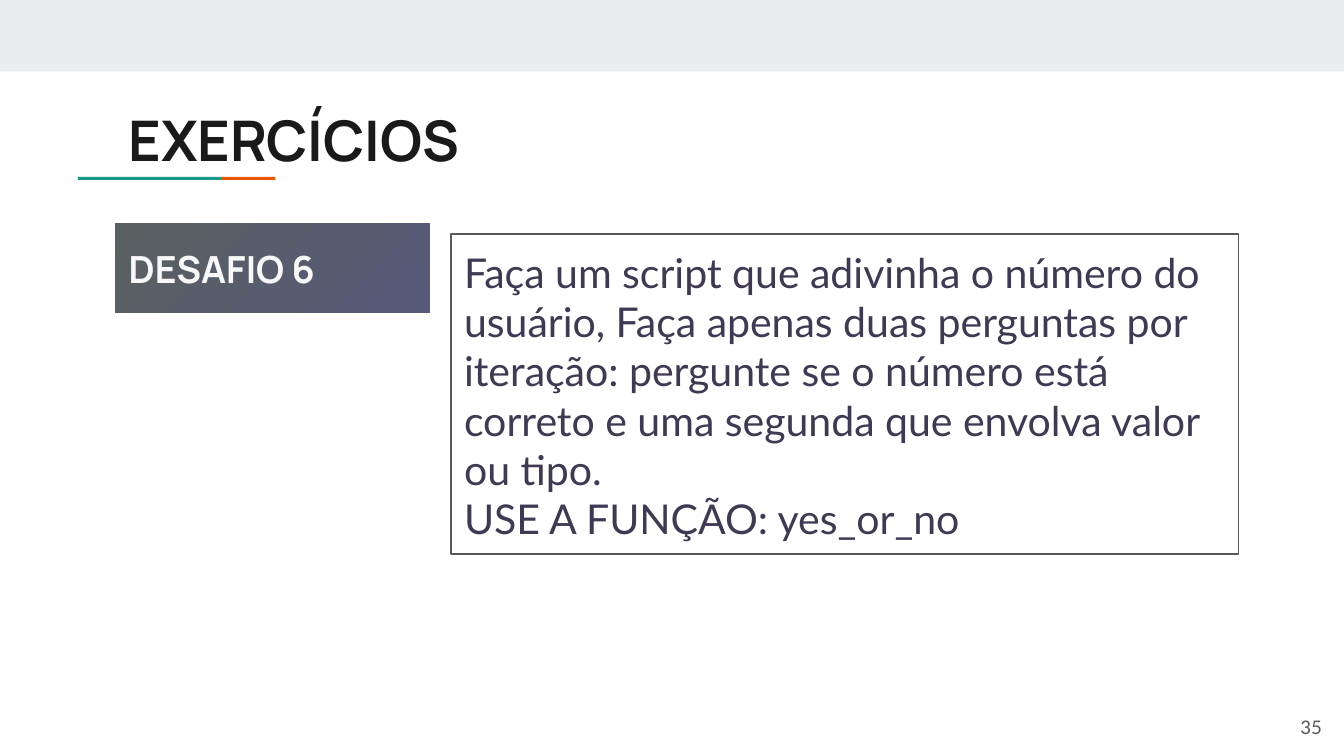
from dataclasses import dataclass

import pptx
import pptx.dml.color
import pptx.enum.shapes
import pptx.enum.text
import pptx.util

WIDE = pptx.util.Inches(10)
HIGH = WIDE * 9 // 16
INSET = pptx.util.Inches(0.1)
ALIGN = pptx.enum.text.PP_ALIGN
ANCHOR = pptx.enum.text.MSO_ANCHOR

HUES = {
    "band": "E9EDEE", "teal": "1A9988", "orange": "EB5600",
    "title": "1A1A1A", "grey": "595959", "chip": "F8F8F8",
    "violet": "575979", "moss": "586160", "body": "403953",
}


@dataclass(frozen=True)
class Box:
    """Place and size in percent of the slide."""
    x: float
    y: float
    w: float
    h: float

    def emu(self) -> tuple[int, int, int, int]:
        return (round(WIDE * self.x / 100), round(HIGH * self.y / 100),
                round(WIDE * self.w / 100), round(HIGH * self.h / 100))


@dataclass(frozen=True)
class Style:
    font: str
    size: int
    hue: str
    bold: bool = False
    align: ALIGN = ALIGN.LEFT
    anchor: ANCHOR = ANCHOR.TOP


BARS = [
    (Box(0, 0, 100, 9.45), "band"),
    (Box(5.8, 23.4, 10.65, 0.4), "teal"),
    (Box(16.45, 23.4, 4.05, 0.4), "orange"),
]
TASK = (
    "Faça um script que adivinha o número do usuário, Faça apenas duas "
    "perguntas por iteração: pergunte se o número está correto e uma "
    "segunda que envolva valor ou tipo.\n"
    "USE A FUNÇÃO: yes_or_no"
)


def color(name: str) -> pptx.dml.color.RGBColor:
    return pptx.dml.color.RGBColor.from_string(HUES[name])


def write(shape, text: str, style: Style) -> None:
    frame = shape.text_frame
    frame.text = text
    frame.word_wrap = True
    frame.auto_size = pptx.enum.text.MSO_AUTO_SIZE.NONE
    frame.vertical_anchor = style.anchor
    frame.margin_left = frame.margin_right = INSET
    frame.margin_top = frame.margin_bottom = INSET
    for para in frame.paragraphs:
        para.alignment = style.align
        for run in para.runs:
            run.font.name = style.font
            run.font.size = pptx.util.Pt(style.size)
            run.font.bold = style.bold
            run.font.color.rgb = color(style.hue)


def panel(slide, box: Box):
    """Add a rectangle with no shadow, fill or line."""
    shape = slide.shapes.add_shape(
        pptx.enum.shapes.MSO_SHAPE.RECTANGLE, *box.emu())
    shape.shadow.inherit = False
    shape.fill.background()
    shape.line.fill.background()
    return shape


def main() -> None:
    deck = pptx.Presentation()
    deck.slide_width, deck.slide_height = WIDE, HIGH
    slide = deck.slides.add_slide(deck.slide_layouts[5])

    for box, hue in BARS:
        bar = panel(slide, box)
        bar.fill.solid()
        bar.fill.fore_color.rgb = color(hue)

    title = slide.shapes.title
    title.left, title.top, title.width, title.height = Box(
        8.55, 12.15, 84.1, 10.5).emu()
    write(title, "EXERCÍCIOS", Style("Manrope", 30, "title", bold=True))

    page = slide.shapes.add_textbox(*Box(93.35, 92.35, 6, 7.65).emu())
    write(page, "35", Style("Lato", 10, "grey", align=ALIGN.RIGHT,
                            anchor=ANCHOR.MIDDLE))

    chip = panel(slide, Box(8.6, 29.6, 23.4, 11.75))
    chip.fill.gradient()
    chip.fill.gradient_angle = 135
    for stop, hue in zip(chip.fill.gradient_stops, ("violet", "moss")):
        stop.color.rgb = color(hue)
    write(chip, "DESAFIO 6", Style("Manrope", 20, "chip", bold=True,
                                   anchor=ANCHOR.MIDDLE))

    task = panel(slide, Box(33.55, 30.95, 58.6, 42.35))
    task.line.color.rgb = color("grey")
    task.line.width = pptx.util.Pt(0.75)
    write(task, TASK, Style("Lato", 22, "body"))

    deck.save("out.pptx")


if __name__ == "__main__":
    main()
